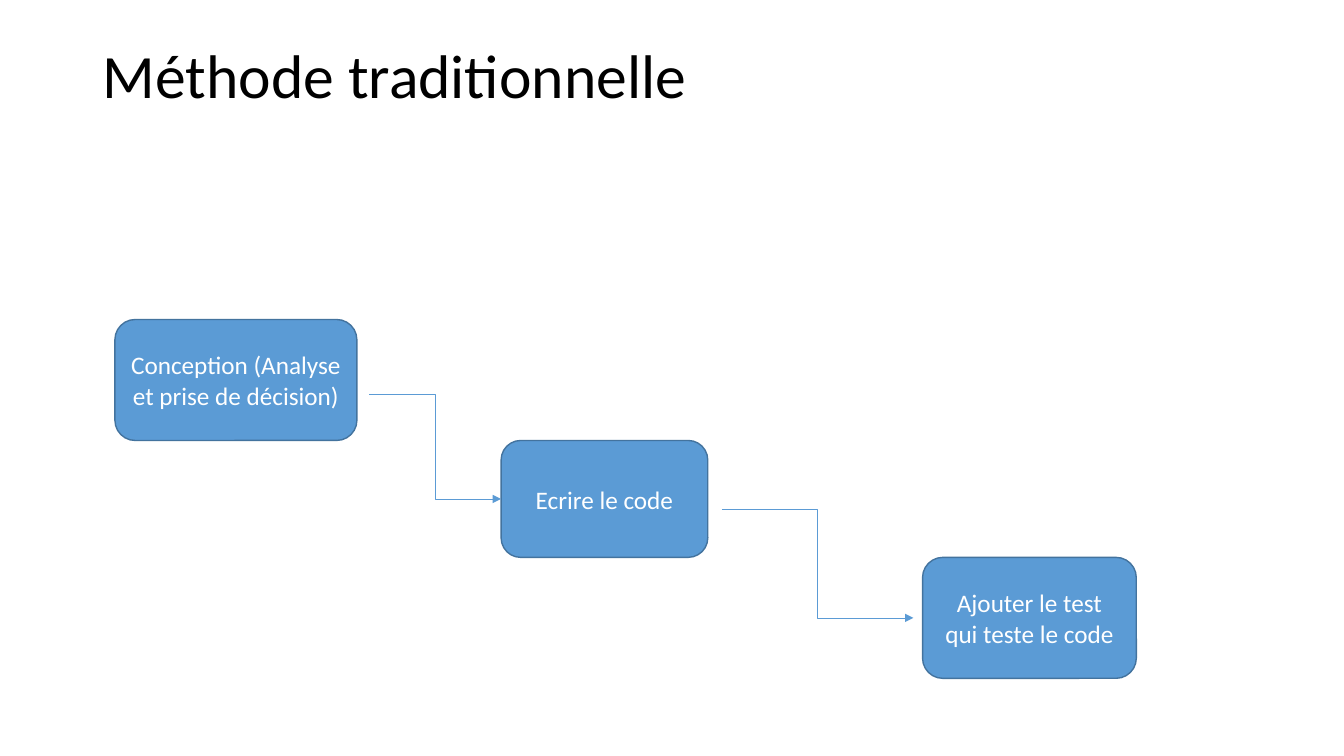
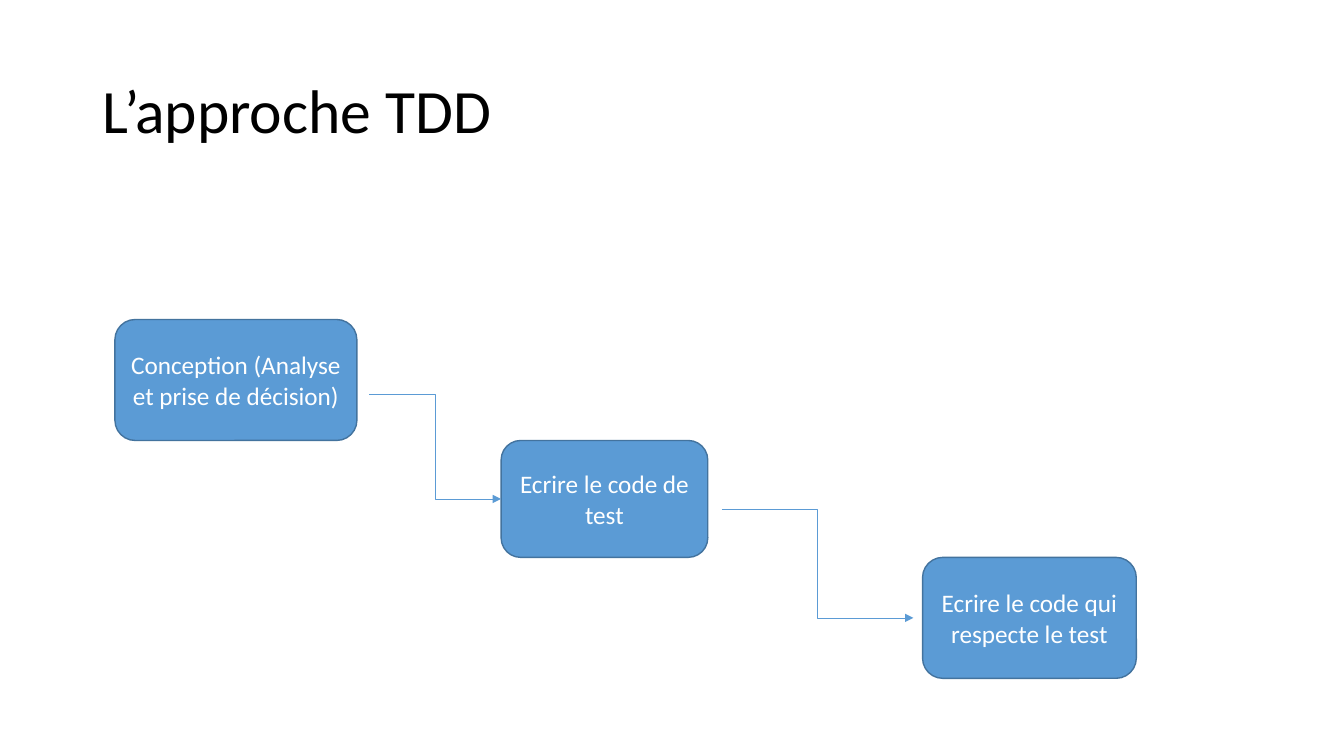
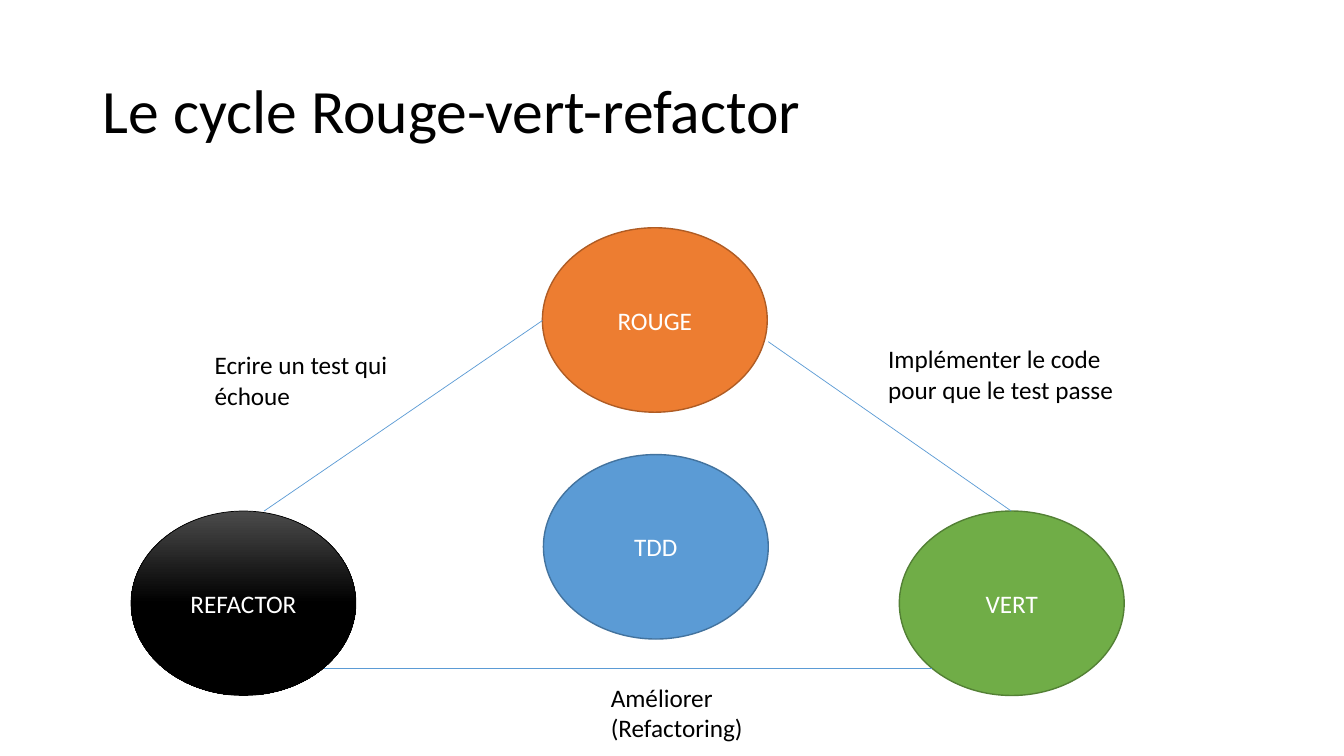
"""Build three slides on the traditional method, TDD and its cycle."""
from dataclasses import dataclass

from pptx import Presentation
from pptx.dml.color import RGBColor
from pptx.enum.shapes import MSO_CONNECTOR, MSO_SHAPE
from pptx.enum.text import MSO_ANCHOR, MSO_AUTO_SIZE, PP_ALIGN
from pptx.oxml.ns import qn
from pptx.util import Emu, Pt
from lxml.etree import SubElement


@dataclass(frozen=True)
class Theme:
    font: str = "Calibri"
    title_size: int = 44
    text_size: int = 18
    dark: str = "000000"
    light: str = "FFFFFF"
    blue: tuple = ("5B9BD5", "43739E")
    green: tuple = ("70AD47", "538035")
    orange: tuple = ("ED7D31", "AF5C24")
    black: tuple = (("4B4B4B", "000000"), "000000")
    outline: float = 1
    thin: float = 0.5


THEME = Theme()
PX = 9144
SLIDE = (1333, 750)
TITLE_BOX = (92, 40, 1150, 145)

STEP_BOXES = [(114, 317, 240, 120), (497, 437, 205, 116), (915, 553, 212, 120)]
STEP_ARROWS = [(366, 391, 497, 495), (716, 505, 906, 613)]
METHODS = [
    ("Méthode traditionnelle", MSO_ANCHOR.TOP,
     ["Conception (Analyse et prise de décision)", "Ecrire le code",
      "Ajouter le test qui teste le code"]),
    ("L’approche TDD", MSO_ANCHOR.MIDDLE,
     ["Conception (Analyse et prise de décision)", "Ecrire le code de test",
      "Ecrire le code qui respecte le test"]),
]

CYCLE_TITLE = "Le cycle Rouge-vert-refactor"
OVAL = (223, 183)
CYCLE_OVALS = [
    ("REFACTOR", 130, 507, THEME.black),
    ("VERT", 892, 507, THEME.green),
    ("TDD", 539, 451, THEME.blue),
    ("ROUGE", 538, 226, THEME.orange),
]
CYCLE_LINES = [(762, 339, 1003, 507), (924, 663, 321, 663), (538, 318, 262, 507)]
CYCLE_LABELS = [
    ("Ecrire un test qui échoue", (203, 342, 268, 71)),
    ("Améliorer (Refactoring)", (596, 672, 203, 71)),
    ("Implémenter le code pour que le test passe", (871, 336, 268, 71)),
]


def emu(box):
    return [Emu(v * PX) for v in box]


def rgb(value):
    return RGBColor.from_string(value)


def write(tf, text, size, color, align):
    tf.text = text
    tf.word_wrap = True
    p = tf.paragraphs[0]
    p.alignment = align
    font = p.runs[0].font
    font.name, font.size = THEME.font, Pt(size)
    font.color.rgb = rgb(color)
    return p


def add_slide(prs, title, anchor=MSO_ANCHOR.MIDDLE):
    s = prs.slides.add_slide(prs.slide_layouts[5])
    sp = s.shapes.title
    sp.left, sp.top, sp.width, sp.height = emu(TITLE_BOX)
    tf = sp.text_frame
    p = write(tf, title, THEME.title_size, THEME.dark, PP_ALIGN.LEFT)
    p.line_spacing = 0.9
    tf.vertical_anchor = anchor
    tf.auto_size = MSO_AUTO_SIZE.NONE
    return s


def add_node(s, kind, text, box, colors):
    fill, line = colors
    sp = s.shapes.add_shape(kind, *emu(box))
    sp.shadow.inherit = False
    if isinstance(fill, tuple):
        sp.fill.gradient()
        sp.fill.gradient_angle = 270
        for stop, color, position in zip(sp.fill.gradient_stops, fill, (0, 0.5)):
            stop.color.rgb = rgb(color)
            stop.position = position
    else:
        sp.fill.solid()
        sp.fill.fore_color.rgb = rgb(fill)
    sp.line.color.rgb = rgb(line)
    sp.line.width = Pt(THEME.thin if isinstance(fill, tuple) else THEME.outline)
    write(sp.text_frame, text, THEME.text_size, THEME.light, PP_ALIGN.CENTER)


def add_link(s, kind, ends, arrow=False):
    cx = s.shapes.add_connector(kind, *emu(ends))
    cx.line.color.rgb = rgb(THEME.blue[0])
    cx.line.width = Pt(THEME.thin)
    if arrow:
        SubElement(cx.line._get_or_add_ln(), qn("a:tailEnd"), type="triangle")
    SubElement(cx._element.spPr, qn("a:effectLst"))


def add_label(s, text, box):
    tf = s.shapes.add_textbox(*emu(box)).text_frame
    write(tf, text, THEME.text_size, THEME.dark, PP_ALIGN.LEFT)
    tf.auto_size = MSO_AUTO_SIZE.SHAPE_TO_FIT_TEXT


def add_method(prs, title, anchor, steps):
    s = add_slide(prs, title, anchor)
    for text, box in zip(steps, STEP_BOXES):
        add_node(s, MSO_SHAPE.ROUNDED_RECTANGLE, text, box, THEME.blue)
    for ends in STEP_ARROWS:
        add_link(s, MSO_CONNECTOR.ELBOW, ends, arrow=True)


def add_cycle(prs):
    s = add_slide(prs, CYCLE_TITLE)
    for text, x, y, colors in CYCLE_OVALS:
        add_node(s, MSO_SHAPE.OVAL, text, (x, y, *OVAL), colors)
    for ends in CYCLE_LINES:
        add_link(s, MSO_CONNECTOR.STRAIGHT, ends)
    for text, box in CYCLE_LABELS:
        add_label(s, text, box)


def main():
    prs = Presentation()
    prs.slide_width, prs.slide_height = emu(SLIDE)
    for method in METHODS:
        add_method(prs, *method)
    add_cycle(prs)
    prs.save("out.pptx")


if __name__ == "__main__":
    main()
